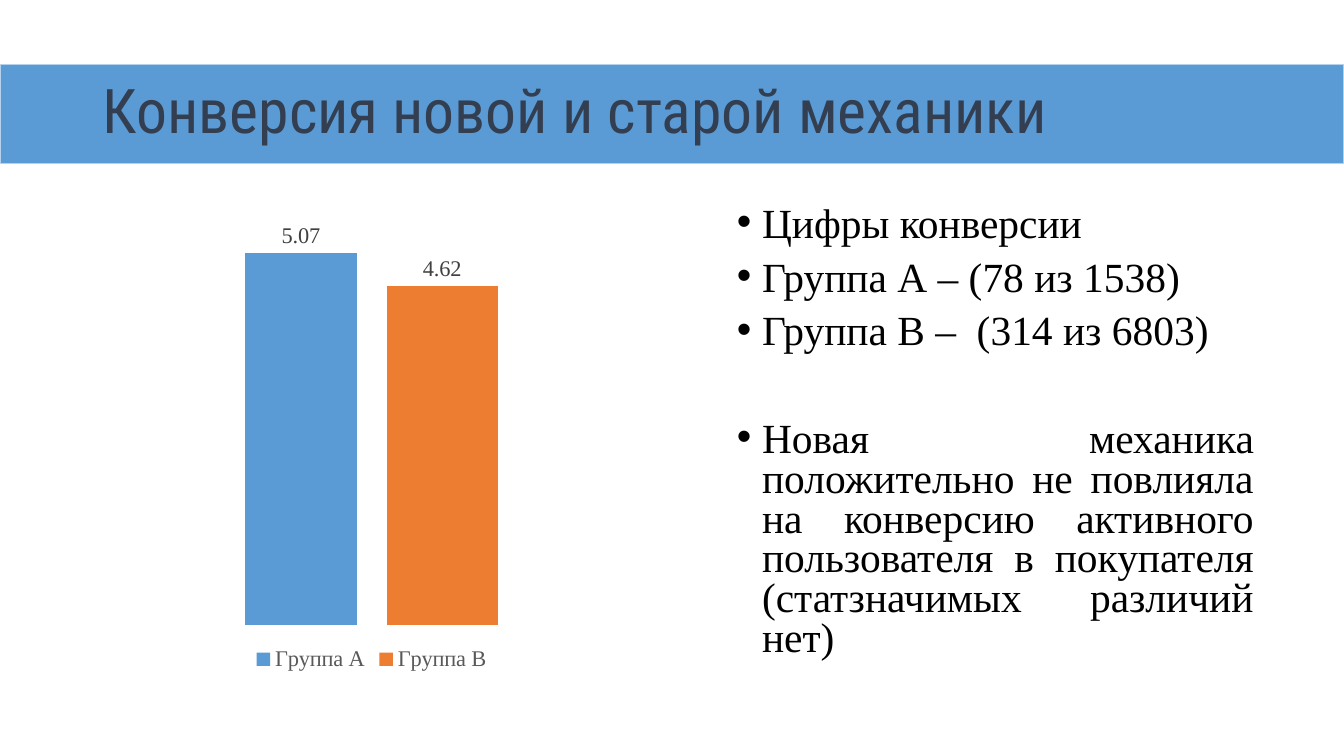
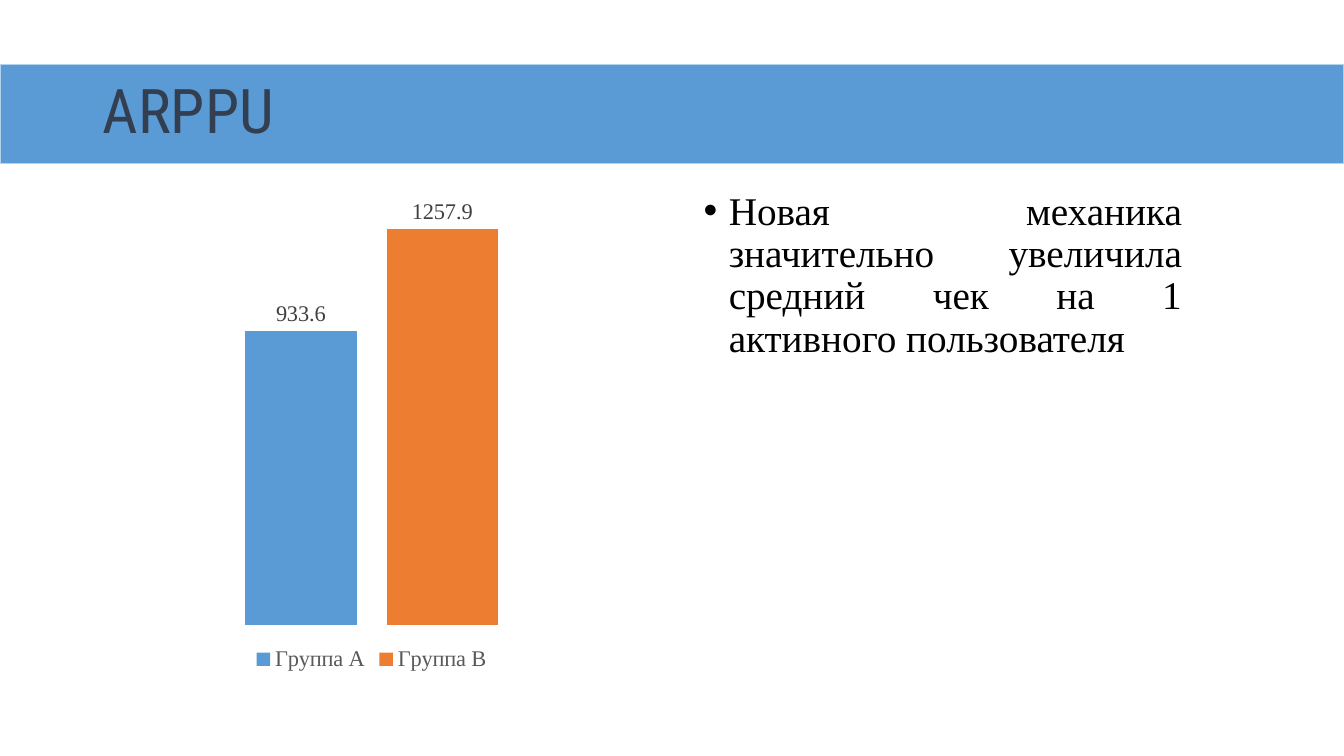
from lxml import etree
from pptx import Presentation
from pptx.chart.data import CategoryChartData
from pptx.dml.color import RGBColor
from pptx.enum.chart import XL_CHART_TYPE, XL_LABEL_POSITION, XL_LEGEND_POSITION
from pptx.enum.shapes import MSO_SHAPE
from pptx.enum.text import MSO_ANCHOR, MSO_AUTO_SIZE, PP_ALIGN
from pptx.oxml.ns import qn
from pptx.util import Inches, Pt

COLUMNS = XL_CHART_TYPE.COLUMN_CLUSTERED
OUTSIDE_END = XL_LABEL_POSITION.OUTSIDE_END
LEGEND_BOTTOM = XL_LEGEND_POSITION.BOTTOM
RECTANGLE = MSO_SHAPE.RECTANGLE
MIDDLE = MSO_ANCHOR.MIDDLE
NO_AUTOFIT = MSO_AUTO_SIZE.NONE
LEFT, JUSTIFY = PP_ALIGN.LEFT, PP_ALIGN.JUSTIFY

COLORS = {
    "group_a": "5B9BD5",
    "group_b": "ED7D31",
    "band": "5B9BD5",
    "band_line": "B5D2EC",
    "title": "333F50",
    "body": "000000",
    "legend": "595959",
    "label": "404040",
}
TITLE_FONT = "Roboto Condensed"
BODY_FONT = "Times New Roman"
SLIDE_WIDTH, SLIDE_HEIGHT = 13.33, 7.5
TITLE_ONLY = 5
BULLET_INDENT = Inches(0.25)


def color(name):
    return RGBColor.from_string(COLORS[name])


def style_font(font, size, color_name, name=BODY_FONT):
    font.name = name
    font.size = Pt(size)
    font.bold = False
    font.color.rgb = color(color_name)


def write_text(para, text, *, size, color_name, font=BODY_FONT, align=LEFT,
               line_spacing=0.9, space_before=0):
    para.alignment = align
    para.line_spacing = line_spacing
    para.space_before = Pt(space_before)
    span = para.add_run()
    span.text = text
    style_font(span.font, size, color_name, font)


def add_bullet_mark(para):
    properties = para._p.get_or_add_pPr()
    properties.set("marL", str(BULLET_INDENT))
    properties.set("indent", str(-BULLET_INDENT))
    etree.SubElement(properties, qn("a:buFont")).set("typeface", "Arial")
    etree.SubElement(properties, qn("a:buChar")).set("char", "•")


def add_titled_page(deck, text):
    """Add a slide whose title lies over a full-width band."""
    page = deck.slides.add_slide(deck.slide_layouts[TITLE_ONLY])
    band = page.shapes.add_shape(
        RECTANGLE, 0, Inches(0.64), Inches(SLIDE_WIDTH), Inches(0.98))
    band.shadow.inherit = False
    band.fill.solid()
    band.fill.fore_color.rgb = color("band")
    band.line.color.rgb = color("band_line")
    band.line.width = Pt(1)

    title = page.shapes.title
    title.left, title.top = Inches(0.92), Inches(0.4)
    title.width, title.height = Inches(11.5), Inches(1.45)
    title.element.addprevious(band.element)
    frame = title.text_frame
    frame.auto_size = NO_AUTOFIT
    frame.vertical_anchor = MIDDLE
    write_text(frame.paragraphs[0], text, size=44, color_name="title",
               font=TITLE_FONT)
    return page


def add_group_chart(page, value_a, value_b):
    data = CategoryChartData()
    data.categories = ["1"]
    data.add_series("Группа А", [value_a])
    data.add_series("Группа В", [value_b])
    chart = page.shapes.add_chart(
        COLUMNS, Inches(1.12), Inches(1.73), Inches(5.13), Inches(4.98),
        data).chart
    chart.has_title = False
    style_font(chart.font, 16, "body")

    chart.has_legend = True
    chart.legend.position = LEGEND_BOTTOM
    chart.legend.include_in_layout = False
    style_font(chart.legend.font, 16, "legend")

    chart.value_axis.minimum_scale = 0
    chart.value_axis.has_major_gridlines = False
    for axis in (chart.category_axis, chart.value_axis):
        axis.visible = False

    plot = chart.plots[0]
    plot.vary_by_categories = False
    plot.gap_width = 219
    plot.overlap = -27
    for series, color_name in zip(plot.series, ("group_a", "group_b")):
        series.format.fill.solid()
        series.format.fill.fore_color.rgb = color(color_name)
        labels = series.data_labels
        labels.show_value = True
        labels.position = OUTSIDE_END
        style_font(labels.font, 16, "label")


def add_bullets(page, left, top, width, bullets, *, size, line_spacing):
    """Add a bulleted list from pairs of text and space before in points."""
    box = page.shapes.add_textbox(
        Inches(left), Inches(top), Inches(width), Inches(4.76))
    frame = box.text_frame
    frame.word_wrap = True
    for index, (text, space_before) in enumerate(bullets):
        para = frame.add_paragraph() if index else frame.paragraphs[0]
        write_text(para, text, size=size, color_name="body", align=JUSTIFY,
                   line_spacing=line_spacing, space_before=space_before)
        add_bullet_mark(para)


def build_conversion(deck):
    page = add_titled_page(deck, "Конверсия новой и старой механики")
    bullets = [
        ("Цифры конверсии", 10),
        ("Группа А – (78 из 1538)", 10),
        ("Группа В –  (314 из 6803)", 10),
        ("Новая механика положительно не повлияла на конверсию активного "
         "пользователя в покупателя (статзначимых различий нет)", 48.5),
    ]
    add_bullets(page, 7.21, 2, 5.33, bullets, size=29.6, line_spacing=0.8)
    add_group_chart(page, 5.07, 4.62)


def build_arppu(deck):
    page = add_titled_page(deck, "ARPPU")
    add_group_chart(page, 933.6, 1257.9)
    bullets = [("Новая механика значительно увеличила средний чек на 1 "
                "активного пользователя", 10)]
    add_bullets(page, 6.88, 1.85, 4.94, bullets, size=28, line_spacing=0.9)


def main():
    deck = Presentation()
    deck.slide_width = Inches(SLIDE_WIDTH)
    deck.slide_height = Inches(SLIDE_HEIGHT)
    build_conversion(deck)
    build_arppu(deck)
    deck.save("out.pptx")


if __name__ == "__main__":
    main()
